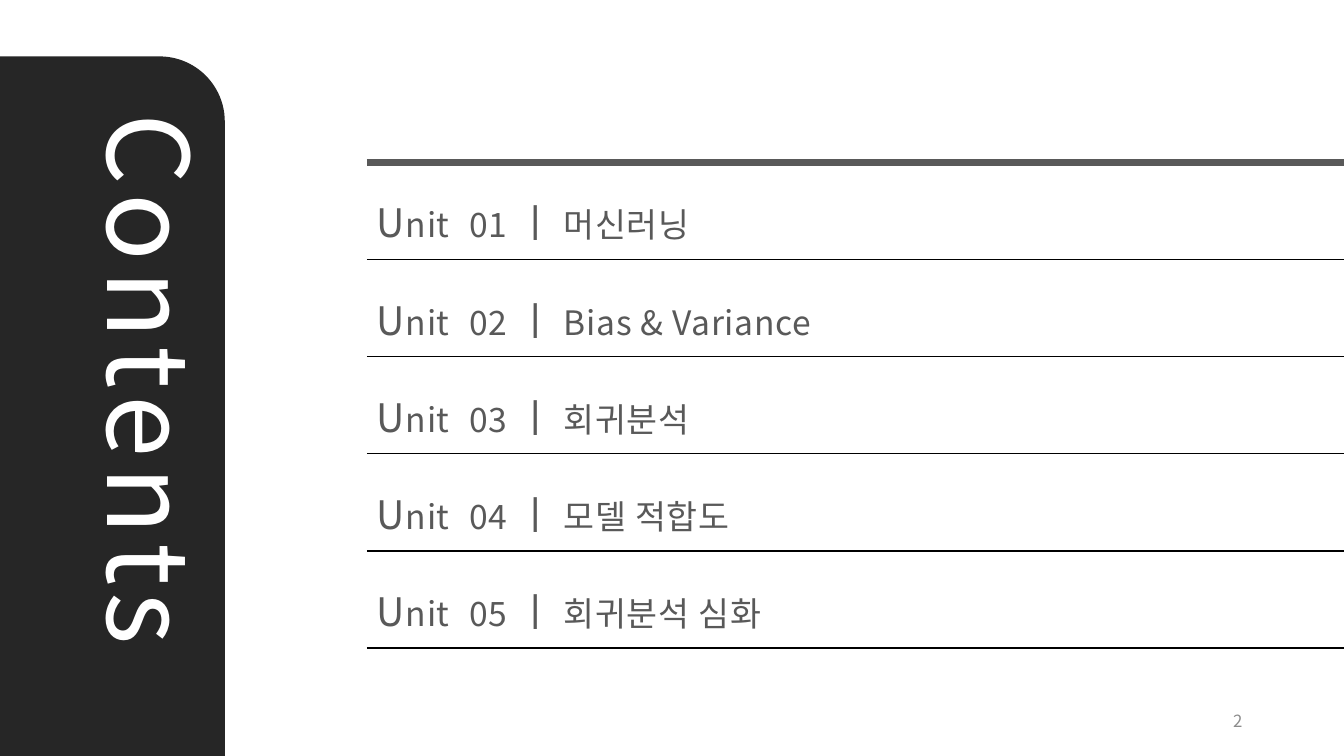
import pptx
import pptx.util
import pptx.dml.color
import pptx.enum.shapes
import pptx.enum.text
import pptx.oxml.ns
import lxml.etree

Inches = pptx.util.Inches
Pt = pptx.util.Pt
RGBColor = pptx.dml.color.RGBColor
Align = pptx.enum.text.PP_ALIGN
Anchor = pptx.enum.text.MSO_ANCHOR

PANEL_DARK = RGBColor(0x26, 0x26, 0x26)
TEXT_GREY = RGBColor(0x59, 0x59, 0x59)
NUMBER_GREY = RGBColor(0x8C, 0x8C, 0x8C)
WHITE = RGBColor(0xFF, 0xFF, 0xFF)
BLACK = RGBColor(0, 0, 0)

FONT = "Noto Sans CJK KR"
SLIDE_WIDTH, SLIDE_HEIGHT = 13.33, 7.5
UNITS = ["머신러닝", "Bias & Variance", "회귀분석", "모델 적합도", "회귀분석 심화"]


def set_values(target, values):
    for name, value in values.items():
        setattr(target, name, value)


def add_run(paragraph, text, size, color, spacing=0):
    run = paragraph.add_run()
    run.text = text
    set_values(run.font, {"name": FONT, "size": Pt(size), "bold": False})
    run.font.color.rgb = color
    properties = run._r.get_or_add_rPr()
    properties.set("spc", str(int(spacing * 100)))
    east_asian = lxml.etree.SubElement(properties, pptx.oxml.ns.qn("a:ea"))
    east_asian.set("typeface", FONT)


def add_text_row(shapes, box, alignment=Align.LEFT):
    text_frame = shapes.add_textbox(*map(Inches, box)).text_frame
    set_values(text_frame, {"word_wrap": True, "vertical_anchor": Anchor.MIDDLE})
    paragraph = text_frame.paragraphs[0]
    paragraph.alignment = alignment
    return paragraph


def add_rule(shapes, left, top, width, color, weight):
    rule = shapes.add_connector(
        pptx.enum.shapes.MSO_CONNECTOR.STRAIGHT,
        Inches(left), Inches(top), Inches(left + width), Inches(top))
    rule.line.color.rgb = color
    rule.line.width = Pt(weight)
    lxml.etree.SubElement(rule._element.spPr, pptx.oxml.ns.qn("a:effectLst"))


def add_title_panel(slide, left, top, width, height):
    panel = slide.shapes.add_shape(
        pptx.enum.shapes.MSO_SHAPE.ROUND_1_RECTANGLE,
        *map(Inches, (left, top, width, height)))
    panel.adjustments[0] = 0.29
    panel.shadow.inherit = False
    panel.fill.solid()
    panel.fill.fore_color.rgb = PANEL_DARK
    panel.line.fill.background()

    title = slide.shapes.title
    length, depth = 6.97, 1.45
    center_x = left + width - depth / 2
    center_y = top + 0.47 + length / 2
    set_values(title, {
        "left": Inches(center_x - length / 2), "top": Inches(center_y - depth / 2),
        "width": Inches(length), "height": Inches(depth), "rotation": 90})
    set_values(title.text_frame, {
        "word_wrap": True, "vertical_anchor": Anchor.TOP,
        "auto_size": pptx.enum.text.MSO_AUTO_SIZE.NONE})
    paragraph = title.text_frame.paragraphs[0]
    paragraph.alignment = Align.LEFT
    add_run(paragraph, "Contents", 80, WHITE, 6)
    title._element.addprevious(panel._element)


def add_unit_list(slide, left, top, width, height):
    shapes = slide.shapes.add_group_shape().shapes
    pitch = height / len(UNITS)
    add_rule(shapes, left, top, width, TEXT_GREY, 5)
    for index, name in enumerate(UNITS):
        row_top = top + index * pitch
        paragraph = add_text_row(shapes, (left, row_top + 0.21, width - 0.26, 0.77))
        number = f"{index + 1:02d}"
        for text, size in (("U", 28), ("nit", 24), ("  ", 28),
                           (number, 24), (" ㅣ ", 28), (name, 24)):
            add_run(paragraph, text, size, TEXT_GREY, 0.5)
        add_rule(shapes, left, row_top + pitch, width, BLACK, 1)


def add_page_number(slide, left, top, width, height):
    paragraph = add_text_row(slide.shapes, (left, top, width, height), Align.RIGHT)
    add_run(paragraph, "2", 12, NUMBER_GREY)


def main():
    presentation = pptx.Presentation()
    set_values(presentation, {
        "slide_width": Inches(SLIDE_WIDTH), "slide_height": Inches(SLIDE_HEIGHT)})
    slide = presentation.slides.add_slide(presentation.slide_layouts[5])
    add_title_panel(slide, 0, 0.56, 2.23, SLIDE_HEIGHT - 0.56)
    add_unit_list(slide, 3.64, 1.61, SLIDE_WIDTH - 3.64, 4.82)
    add_page_number(slide, 9.42, 6.95, 3, 0.4)
    presentation.save("out.pptx")


if __name__ == "__main__":
    main()
